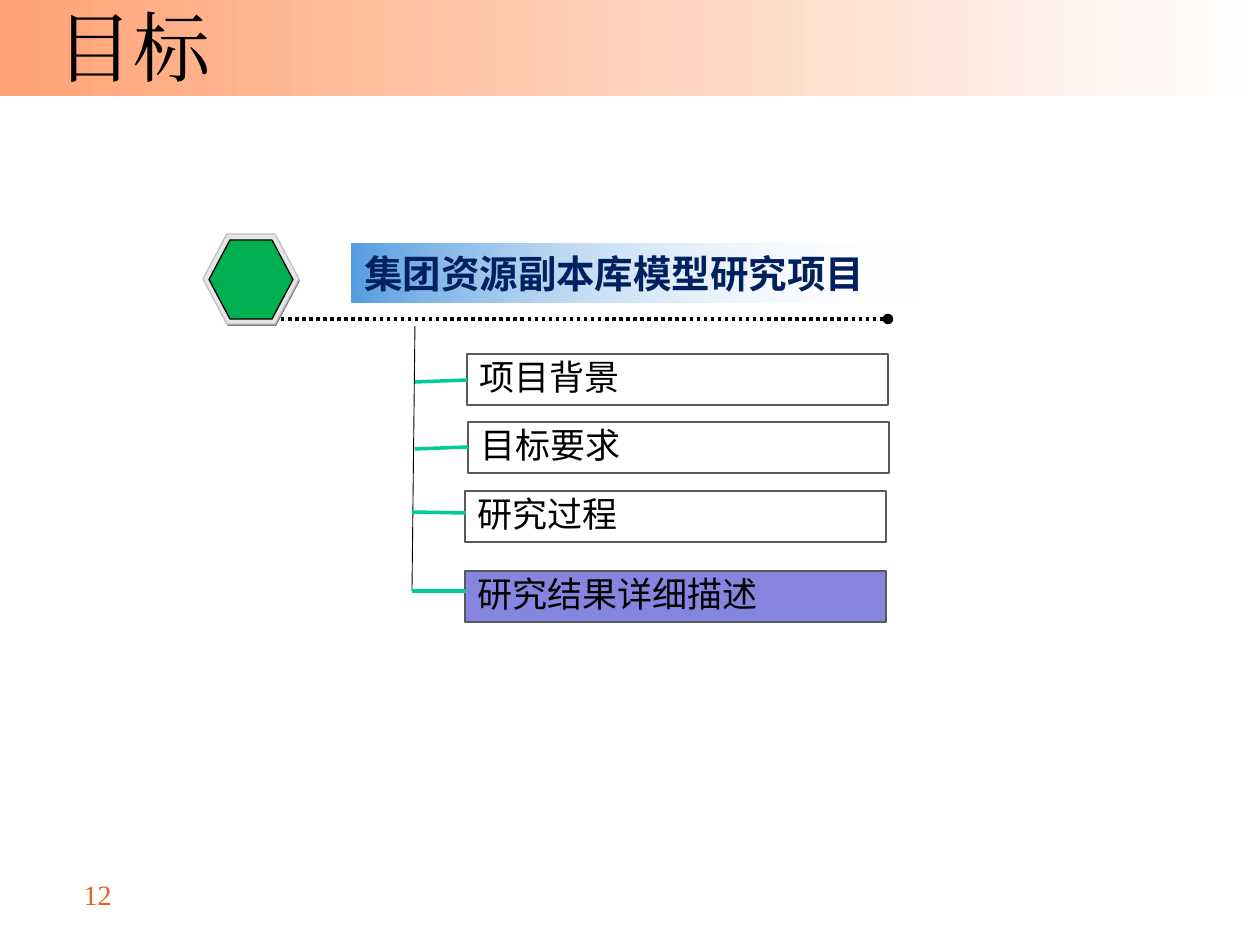
from dataclasses import dataclass

from lxml.etree import SubElement
from pptx import Presentation
from pptx.dml.color import RGBColor
from pptx.enum.dml import MSO_LINE
from pptx.enum.shapes import MSO_CONNECTOR, MSO_SHAPE
from pptx.enum.text import MSO_ANCHOR, MSO_AUTO_SIZE, PP_ALIGN
from pptx.oxml.ns import qn
from pptx.util import Emu, Pt

PX = 914400 / 126
SANS = "Noto Sans CJK SC"
SERIF = "Times New Roman"
COLORS = {
    "black": "000000", "white": "FFFFFF", "banner": "FFA375", "number": "F15A22",
    "border": "595959", "branch": "00CC99", "current": "8585E0", "heading": "002060",
    "heading_fill": "569EE0", "shade": "808080", "bezel": "E6E6E6",
    "bezel_edge": "C0C0C0", "green": "00B050",
}


@dataclass
class Topic:
    text: str
    left: int
    top: int
    branch: tuple[int, int, int, int]
    fill: str | None = None


@dataclass
class Hexagon:
    place: tuple[int, int, int, int]
    fill: str
    line: str | None = None


TOPICS = [
    Topic("项目背景", 467, 354, (415, 382, 467, 380)),
    Topic("目标要求", 468, 422, (415, 449, 468, 447)),
    Topic("研究过程", 465, 491, (412, 512, 466, 513)),
    Topic("研究结果详细描述", 465, 571, (412, 591, 466, 591), "current"),
]
HEXAGONS = [
    Hexagon((204, 236, 96, 90), "shade"),
    Hexagon((203, 234, 96, 90), "bezel", "bezel_edge"),
    Hexagon((209, 240, 84, 79), "green", "black"),
]


def px(*lengths: int) -> list[Emu]:
    return [Emu(round(length * PX)) for length in lengths]


def color(name: str) -> RGBColor:
    return RGBColor.from_string(COLORS[name])


def write(box, text: str, *, size: int, ink: str, font: str = SANS, bold: bool = False,
          align=PP_ALIGN.LEFT, anchor=MSO_ANCHOR.TOP, spacing: float = 1.0) -> None:
    frame = box.text_frame
    frame.word_wrap = True
    frame.auto_size = MSO_AUTO_SIZE.NONE
    frame.vertical_anchor = anchor
    para = frame.paragraphs[0]
    para.alignment = align
    para.line_spacing = spacing
    para.space_before = Pt(0)
    span = para.add_run()
    span.text = text
    span.font.size = Pt(size)
    span.font.bold = bold
    span.font.name = font
    span.font.color.rgb = color(ink)
    SubElement(span.font._element, qn("a:ea")).set("typeface", font)


def add_box(shapes, place: tuple[int, int, int, int], *, kind=MSO_SHAPE.RECTANGLE,
            fill: str | None = None, line: str | None = None):
    box = shapes.add_shape(kind, *px(*place))
    box.shadow.inherit = False
    if fill:
        box.fill.solid()
        box.fill.fore_color.rgb = color(fill)
    else:
        box.fill.background()
    if line:
        box.line.color.rgb = color(line)
        box.line.width = Pt(0.75)
    else:
        box.line.fill.background()
    return box


def fade(box, start: str) -> None:
    box.fill.gradient()
    box.fill.gradient_angle = 0
    for stop, name in zip(box.fill.gradient_stops, (start, "white")):
        stop.color.rgb = color(name)


def add_line(shapes, ends: tuple[int, int, int, int], ink: str, width: float):
    line = shapes.add_connector(MSO_CONNECTOR.STRAIGHT, *px(*ends))
    line.line.color.rgb = color(ink)
    line.line.width = Pt(width)
    SubElement(line.element.spPr, qn("a:effectLst"))
    return line


def main() -> None:
    deck = Presentation()
    deck.slide_width, deck.slide_height = px(1260, 945)
    page = deck.slides.add_slide(deck.slide_layouts[5])
    shapes = page.shapes

    # Title over a fading banner
    title = shapes.title
    title.left, title.top, title.width, title.height = px(44, 6, 1216, 80)
    write(title, "目标", size=44, ink="black", font=SERIF, anchor=MSO_ANCHOR.MIDDLE)
    banner = add_box(shapes, (0, 0, 1260, 96))
    fade(banner, "banner")
    title.element.addprevious(banner.element)

    # Page number
    number = shapes.add_textbox(*px(30, 873, 94, 43))
    write(number, "12", size=16, ink="number", font=SERIF,
          align=PP_ALIGN.RIGHT, anchor=MSO_ANCHOR.MIDDLE)

    # Hexagon badge with dotted rule
    badge = shapes.add_group_shape().shapes
    for hexagon in HEXAGONS:
        shape = add_box(badge, hexagon.place, kind=MSO_SHAPE.HEXAGON,
                        fill=hexagon.fill, line=hexagon.line)
        shape.adjustments[0] = 0.265
        shape.adjustments[1] = 1.155
    rule = add_line(badge, (281, 319, 888, 319), "black", 2)
    rule.line.dash_style = MSO_LINE.ROUND_DOT
    SubElement(rule.line._get_or_add_ln(), qn("a:tailEnd")).set("type", "oval")

    # Project heading, fading to transparent
    heading = add_box(shapes, (352, 244, 566, 59))
    fade(heading, "heading_fill")
    clear = heading.element.spPr.findall(".//" + qn("a:srgbClr"))[-1]
    SubElement(clear, qn("a:alpha")).set("val", "0")
    write(heading, "集团资源副本库模型研究项目", size=22, ink="heading", bold=True)

    # Topic tree
    add_line(shapes, (415, 326, 412, 591), "black", 0.5)
    for topic in TOPICS:
        box = add_box(shapes, (topic.left, topic.top, 421, 51),
                      fill=topic.fill, line="border")
        write(box, topic.text, size=20, ink="black", spacing=0.9)
        add_line(shapes, topic.branch, "branch", 2)

    deck.save("out.pptx")


if __name__ == "__main__":
    main()
